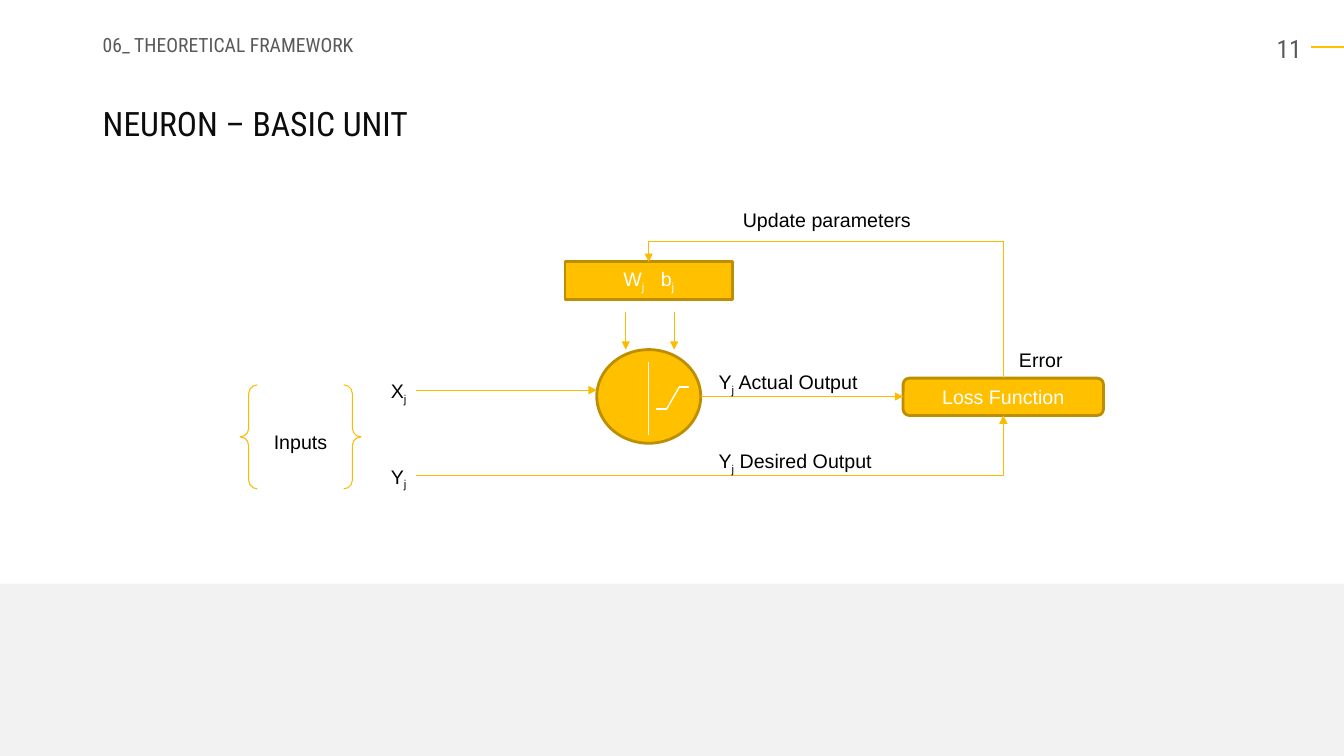
from pptx import Presentation
from pptx.dml.color import RGBColor
from pptx.enum.shapes import MSO_CONNECTOR as LINK, MSO_SHAPE as SHAPE
from pptx.enum.text import MSO_ANCHOR as ANCHOR, PP_ALIGN as ALIGN
from pptx.oxml.ns import qn
from pptx.util import Cm, Pt
from lxml.etree import SubElement

HEADING_FONT, LABEL_FONT = "Roboto Condensed", "Arial"
GOLD, DARK_GOLD, ARROW_GOLD = "FFC000", "BD8E00", "F9BC00"
GREY, BLACK, WHITE = "595959", "000000", "FFFFFF"
WIDTH, HEIGHT = 33.87, 19.05
LABEL_HEIGHT = 0.81


def color(code):
    return RGBColor.from_string(code)


def write(frame, text, size=14, ink=BLACK, font=LABEL_FONT, align=ALIGN.LEFT,
          anchor=ANCHOR.TOP, wrap=True):
    """Pieces between bars alternate between baseline and subscript."""
    frame.word_wrap = wrap
    frame.vertical_anchor = anchor
    paragraph = frame.paragraphs[0]
    paragraph.alignment = align
    for index, piece in enumerate(text.split("|")):
        if not piece:
            continue
        run = paragraph.add_run()
        run.text = piece
        run.font.size = Pt(size)
        run.font.name = font
        run.font.color.rgb = color(ink)
        properties = run.font._element
        if index % 2:
            properties.set("baseline", "-25000")
        elif piece == " ":
            properties.set("spc", "780")
    return paragraph


def label(slide, text, left, top, width, height=LABEL_HEIGHT, **style):
    box = slide.shapes.add_textbox(Cm(left), Cm(top), Cm(width), Cm(height))
    return write(box.text_frame, text, **style)


def block(slide, kind, left, top, width, height, fill=None, line=None, weight=2):
    shape = slide.shapes.add_shape(kind, Cm(left), Cm(top), Cm(width), Cm(height))
    shape.shadow.inherit = False
    if fill:
        shape.fill.solid()
        shape.fill.fore_color.rgb = color(fill)
    else:
        shape.fill.background()
    if line:
        shape.line.color.rgb = color(line)
        shape.line.width = Pt(weight)
    else:
        shape.line.fill.background()
    return shape


def link(slide, start, end, ink=ARROW_GOLD, weight=0.75, arrow=True, kind=LINK.STRAIGHT):
    connector = slide.shapes.add_connector(kind, *map(Cm, start + end))
    connector.line.color.rgb = color(ink)
    connector.line.width = Pt(weight)
    if arrow:
        SubElement(connector.line._get_or_add_ln(), qn("a:tailEnd"), type="triangle")
    SubElement(connector._element.spPr, qn("a:effectLst"))
    return connector


def header(slide, left, top, width):
    heading = label(slide, "06_ THEORETICAL FRAMEWORK", left, top, 8.46, 1.02,
                    ink=GREY, font=HEADING_FONT, anchor=ANCHOR.MIDDLE)
    heading.line_spacing = 0.9
    label(slide, "NEURON – BASIC UNIT", left, top + 1.8, 11.89, 1.27,
          size=24, ink="0C0C0C", font=HEADING_FONT)
    right = left + width
    label(slide, "11", right - 2.95, top + 0.05, 2.13, 0.89,
          size=18, ink=GREY, font=HEADING_FONT, align=ALIGN.RIGHT)
    link(slide, (right, top + 0.53), (right - 0.82, top + 0.53), GOLD, 1.5, arrow=False)


def footer_band(slide, top):
    block(slide, SHAPE.RECTANGLE, 0, top, WIDTH, HEIGHT - top, "F2F2F2")


def neuron(slide, left, top, width, height):
    center = left + width / 2
    block(slide, SHAPE.OVAL, left, top, width, height, GOLD, DARK_GOLD)
    link(slide, (center, top + 0.31), (center, top + 2.14), WHITE, arrow=False)
    low, high = top + 1.5, top + 0.94
    activation = [(center + 0.19, low), (center + 0.45, low),
                  (center + 0.77, high), (center + 1.02, high)]
    for start, end in zip(activation, activation[1:]):
        link(slide, start, end, WHITE, 1, arrow=False)


def feedback(slide, start, end, rise):
    across, up = start[0] - end[0], start[1] - end[1]
    x, y = (start[0] + end[0]) / 2, (start[1] + end[1]) / 2
    elbow = link(slide, (x - up / 2, y + across / 2), (x + up / 2, y - across / 2),
                 kind=LINK.ELBOW)
    elbow.rotation = 270 if hasattr(elbow, "rotation") else 0
    elbow._element.spPr.find(qn("a:xfrm")).set("rot", "16200000")
    guides = elbow._element.spPr.find(qn("a:prstGeom")).get_or_add_avLst()
    SubElement(guides, qn("a:gd"), name="adj1", fmla=f"val {round((1 + rise / up) * 100000)}")


def diagram(slide, left, top):
    cell_left, cell_top, cell_width, cell_height = left + 8.99, top + 3.7, 2.62, 2.36
    cell_x, cell_y = cell_left + cell_width / 2, cell_top + cell_height / 2
    box_height = 0.94
    loss_left, loss_top, loss_width = left + 16.71, top + 4.42, 5.05
    loss_x = loss_left + loss_width / 2
    weights_top, weights_width = top + 1.49, 4.22
    input_x, desired_y = left + 4.44, top + 6.88

    inputs = block(slide, SHAPE.DOUBLE_BRACE, left, top + 4.59, 3.05, 2.62,
                   line=ARROW_GOLD, weight=0.75)
    loss = block(slide, SHAPE.ROUNDED_RECTANGLE, loss_left, loss_top, loss_width,
                 box_height, GOLD, DARK_GOLD)
    weights = block(slide, SHAPE.RECTANGLE, cell_x - weights_width / 2, weights_top,
                    weights_width, box_height, GOLD, DARK_GOLD)
    for shape, text, ink in ((inputs, "Inputs", BLACK), (loss, "Loss Function", WHITE),
                             (weights, "W|j| ||b|j", WHITE)):
        write(shape.text_frame, text, ink=ink, align=ALIGN.CENTER, anchor=ANCHOR.MIDDLE)

    neuron(slide, cell_left, cell_top, cell_width, cell_height)
    for offset in (-0.58, 0.64):
        link(slide, (cell_x + offset, cell_top - 0.94), (cell_x + offset, cell_top))
    link(slide, (input_x, top + 4.72), (cell_left, top + 4.72))
    link(slide, (cell_left + cell_width, cell_y), (loss_left, cell_y))
    desired = link(slide, (input_x, desired_y), (loss_x, loss_top + box_height),
                   kind=LINK.ELBOW)
    desired._element.spPr.find(qn("a:prstGeom")).set("prst", "bentConnector2")
    feedback(slide, (loss_x, loss_top), (cell_x, weights_top), 0.5)

    for text, x, y, width in (("X|j", 3.55, 4.31, 0.91), ("Y|j", 3.55, 6.47, 0.91),
                              ("Y|j| Actual Output", 11.81, 4.08, 4.5),
                              ("Y|j| Desired Output", 11.81, 6.07, 4.88),
                              ("Error", 19.38, 3.53, 1.7),
                              ("Update parameters", 12.42, 0, 5.23)):
        label(slide, text, left + x, top + y, width, wrap=False)


def main():
    deck = Presentation()
    deck.slide_width, deck.slide_height = Cm(WIDTH), Cm(HEIGHT)
    slide = deck.slides.add_slide(deck.slide_layouts[6])
    footer_band(slide, 14.71)
    header(slide, 2.34, 0.66, WIDTH - 2.34)
    diagram(slide, 6.05, 5.11)
    deck.save("out.pptx")


if __name__ == "__main__":
    main()
